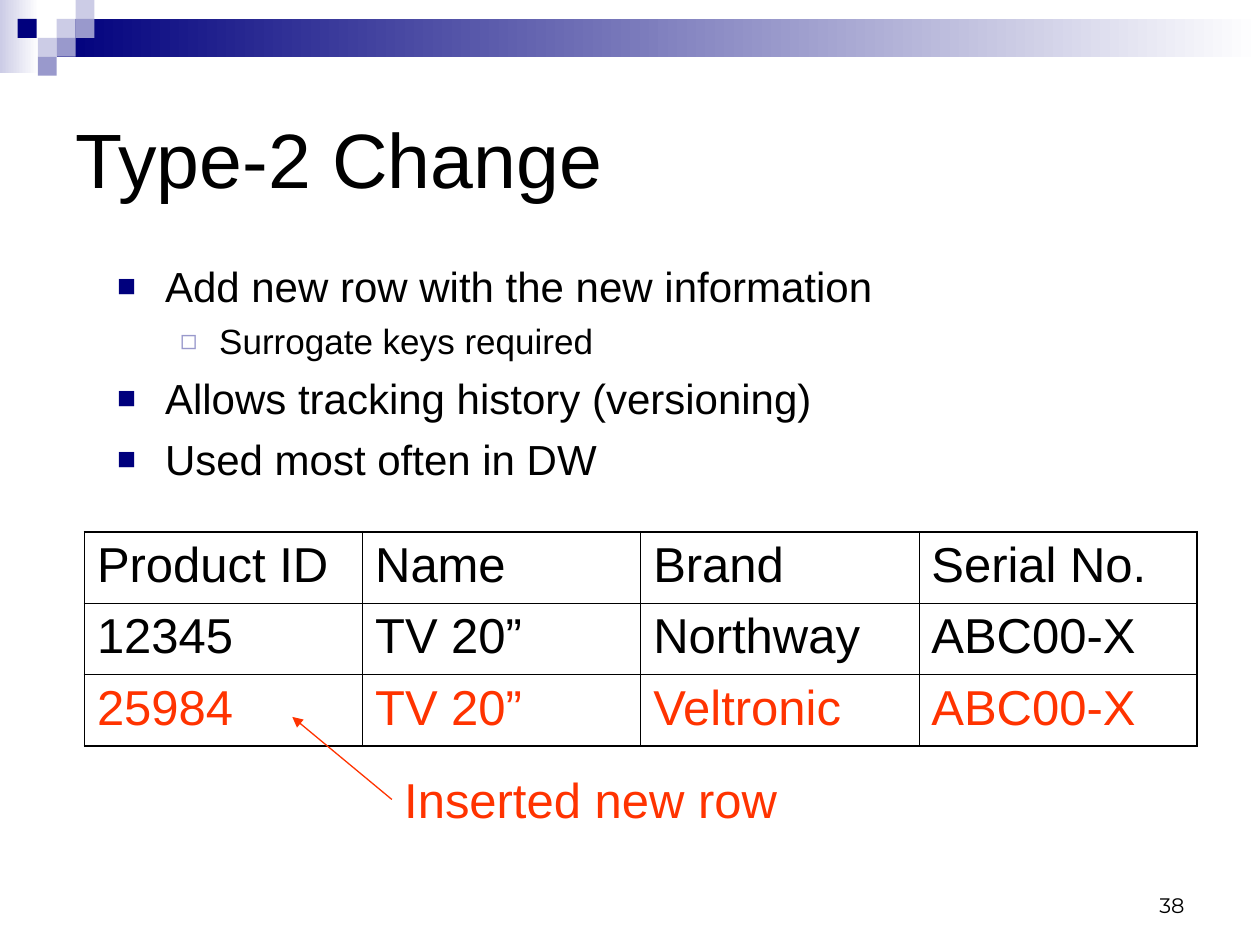
import pptx
import pptx.util
import pptx.dml.color
import pptx.enum.shapes
import pptx.enum.text
import pptx.oxml
import pptx.oxml.ns

Inches, Pt = pptx.util.Inches, pptx.util.Pt
RGBColor = pptx.dml.color.RGBColor
Align, Anchor = pptx.enum.text.PP_ALIGN, pptx.enum.text.MSO_ANCHOR
qn = pptx.oxml.ns.qn

BLACK = RGBColor(0x00, 0x00, 0x00)
WHITE = RGBColor(0xFF, 0xFF, 0xFF)
NAVY = RGBColor(0x00, 0x00, 0x7D)
LILAC = RGBColor(0x99, 0x99, 0xCC)
PALE = RGBColor(0xCC, 0xCC, 0xE6)
RED = RGBColor(0xFF, 0x33, 0x00)

TITLE = "Type-2 Change"
BULLETS = [
    (0, "Add new row with the new information"),
    (1, "Surrogate keys required"),
    (0, "Allows tracking history (versioning)"),
    (0, "Used most often in DW"),
]
# Per level: size, space before, left margin, hanging, bullet, colour, percent
LEVELS = [
    (24, 6, 0.38, 0.38, "■", NAVY, 75),
    (20, 5, 0.81, 0.31, "◻", LILAC, 80),
]
ROWS = [
    ["Product ID", "Name", "Brand", "Serial No."],
    ["12345", "TV 20”", "Northway", "ABC00-X"],
    ["25984", "TV 20”", "Veltronic", "ABC00-X"],
]
NEW_ROW = 2
LABEL = "Inserted new row"
NUMBER = "38"

BANDS = [((0, 0, 0.31, 0.58), PALE), ((0.45, 0.15, 9.55, 0.3), NAVY)]
SIDE = 0.15
TILES = [  # left, top, colour
    (0.45, 0.15, PALE), (0.6, 0, PALE), (0.6, 0.15, LILAC),
    (0.3, 0.3, PALE), (0.14, 0.15, NAVY), (0.45, 0.3, LILAC),
    (0.3, 0.45, LILAC),
]
THICK, THIN = 1.08, 0.45


def place(shape, *box):
    shape.left, shape.top, shape.width, shape.height = map(Inches, box)


def add_run(para, text, size, color=BLACK, face="Arial"):
    run = para.add_run()
    run.text = text
    font = run.font
    font.name, font.size, font.color.rgb = face, Pt(size), color


def add_xml(parent, xml):
    """Append an element written with the a: prefix."""
    node = pptx.oxml.parse_xml(
        xml.replace(" ", f" {pptx.oxml.ns.nsdecls('a')} ", 1))
    parent.append(node)


def add_rect(shapes, *box):
    rect = shapes.add_shape(
        pptx.enum.shapes.MSO_SHAPE.RECTANGLE, *map(Inches, box))
    rect.shadow.inherit = False
    rect.line.fill.background()
    return rect


def add_banner(shapes):
    for box, color in BANDS:
        fill = add_rect(shapes, *box).fill
        fill.gradient()
        fill.gradient_angle = 0
        for stop, tint, pos in zip(fill.gradient_stops, (color, WHITE), (0, 1)):
            stop.color.rgb, stop.position = tint, pos
    for left, top, color in TILES:
        fill = add_rect(shapes, left, top, SIDE, SIDE).fill
        fill.solid()
        fill.fore_color.rgb = color


def fill_body(body):
    place(body, 0.83, 2.02, 8.35, 4.25)
    frame = body.text_frame
    frame.auto_size = pptx.enum.text.MSO_AUTO_SIZE.NONE
    for i, (level, text) in enumerate(BULLETS):
        size, gap, margin, hang, mark, color, scale = LEVELS[level]
        para = frame.add_paragraph() if i else frame.paragraphs[0]
        para.level = level
        para.space_before = Pt(gap if i else 0)
        props = para._p.get_or_add_pPr()
        props.set("marL", str(Inches(margin)))
        props.set("indent", str(-Inches(hang)))
        add_xml(props, f'<a:buClr ><a:srgbClr val="{color}"/></a:buClr>')
        add_xml(props, f'<a:buSzPct val="{scale * 1000}"/>')
        add_xml(props, '<a:buFont typeface="Arial"/>')
        add_xml(props, f'<a:buChar char="{mark}"/>')
        add_run(para, text, size)


def add_border(cell, side, width):
    add_xml(cell._tc.get_or_add_tcPr(),
            f'<a:ln{side} w="{Pt(width)}"><a:solidFill>'
            f'<a:srgbClr val="{BLACK}"/></a:solidFill></a:ln{side}>')


def add_grid(shapes):
    rows, cols = len(ROWS), len(ROWS[0])
    table = shapes.add_table(
        rows, cols, *map(Inches, (0.67, 4.22, 8.83, 1.7))).table
    table.first_row = table.horz_banding = False
    for r, row in enumerate(ROWS):
        for c, text in enumerate(row):
            cell = table.cell(r, c)
            edges = {"L": c == 0, "R": c == cols - 1,
                     "T": r == 0, "B": r == rows - 1}
            for side, outer in edges.items():
                add_border(cell, side, THICK if outer else THIN)
            cell.fill.background()
            add_run(cell.text_frame.paragraphs[0], text, 28,
                    RED if r == NEW_ROW else BLACK)


def add_text(shapes, box, *style):
    shape = shapes.add_textbox(*map(Inches, box))
    shape.text_frame.word_wrap = True
    add_run(shape.text_frame.paragraphs[0], *style)
    return shape


def add_arrow(shapes, label):
    """Point from the label's left side to the new row."""
    arrow = shapes.add_connector(
        pptx.enum.shapes.MSO_CONNECTOR.STRAIGHT,
        *map(Inches, (3.11, 6.31, 2.32, 5.69)))
    arrow.begin_connect(label, 1)
    arrow.line.color.rgb, arrow.line.width = RED, Pt(0.75)
    add_xml(arrow.line._get_or_add_ln(), '<a:tailEnd type="triangle"/>')
    add_xml(arrow._element.find(qn("p:spPr")), "<a:effectLst />")


def main():
    deck = pptx.Presentation()
    deck.slide_width, deck.slide_height = Inches(10), Inches(7.5)
    slide = deck.slides.add_slide(deck.slide_layouts[1])
    shapes = slide.shapes
    add_banner(shapes)

    title = shapes.title
    place(title, 0.5, 0.5, 9, 1.5)
    title.text_frame.vertical_anchor = Anchor.MIDDLE
    para = title.text_frame.paragraphs[0]
    para.alignment = Align.LEFT
    add_run(para, TITLE, 44)

    fill_body(slide.placeholders[1])
    add_grid(shapes)
    label = add_text(shapes, (3.11, 6.06, 3.62, 0.57), LABEL, 28, RED)
    add_arrow(shapes, label)

    number = add_text(shapes, (7.17, 6.83, 2.33, 0.5),
                      NUMBER, 12, BLACK, "Montserrat")
    number.text_frame.vertical_anchor = Anchor.BOTTOM
    number.text_frame.paragraphs[0].alignment = Align.RIGHT
    deck.save("out.pptx")


if __name__ == "__main__":
    main()
